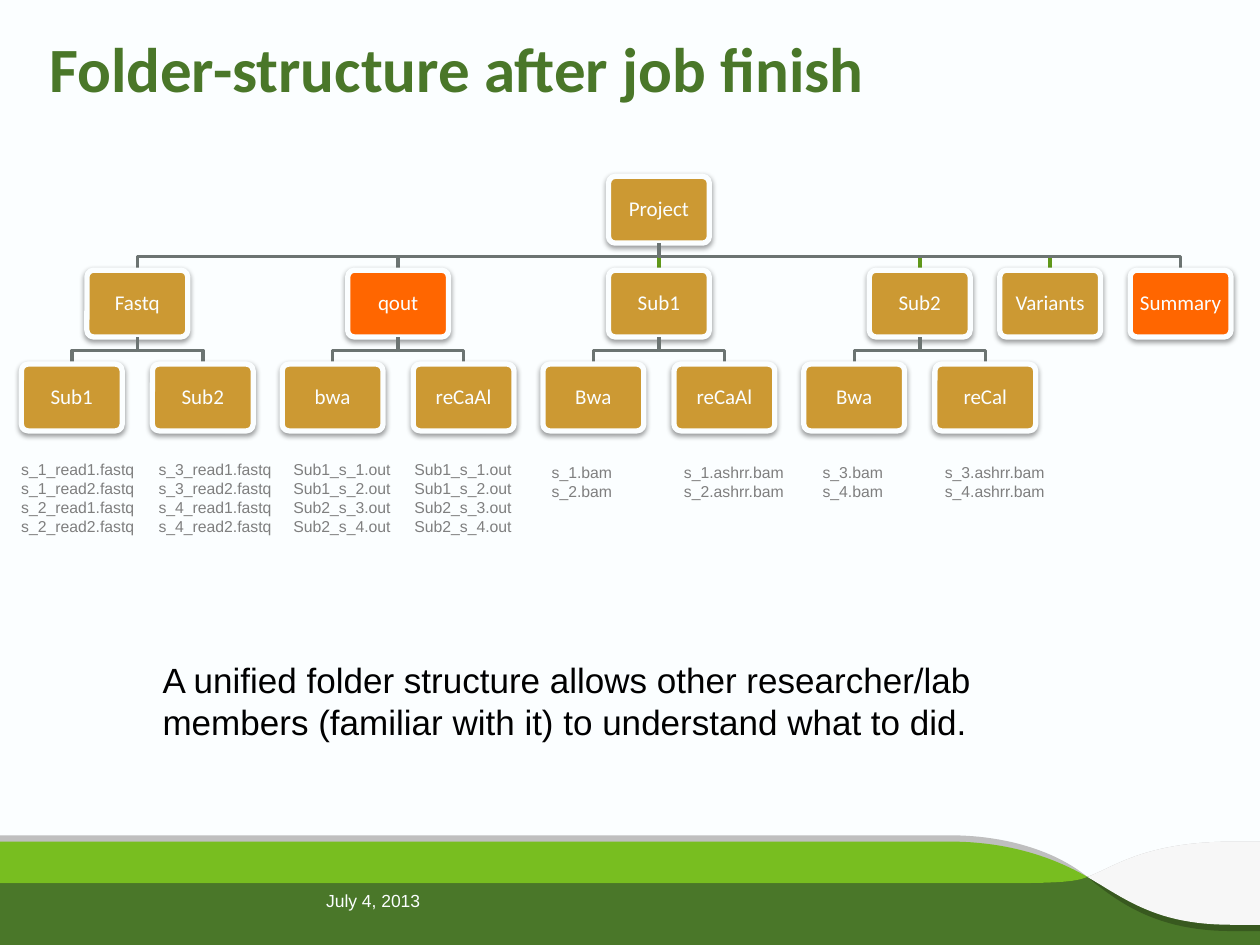
import pptx
import pptx.dml.color
import pptx.enum.shapes
import pptx.enum.text
import pptx.oxml.ns
import pptx.util
from lxml import etree
from pptx.util import Inches

RGBColor = pptx.dml.color.RGBColor
PALE = RGBColor(0xFB, 0xFE, 0xFF)
DARK = RGBColor(0x4A, 0x77, 0x29)
DEEP = RGBColor(0x38, 0x59, 0x1F)
LIME = RGBColor(0x78, 0xBE, 0x20)
STEM = RGBColor(0x60, 0x98, 0x1A)
SLATE = RGBColor(0x6C, 0x74, 0x72)
SILVER = RGBColor(0xBF, 0xBF, 0xBF)
GRAY = RGBColor(0x7F, 0x7F, 0x7F)
MIST = RGBColor(0xF7, 0xF7, 0xF7)
GOLD = RGBColor(0xCC, 0x99, 0x33)
ORANGE = RGBColor(0xFF, 0x66, 0x00)
BLACK = RGBColor(0, 0, 0)
MIDDLE = pptx.enum.text.MSO_ANCHOR.MIDDLE
FIT = pptx.enum.text.MSO_AUTO_SIZE.SHAPE_TO_FIT_TEXT
CENTER = pptx.enum.text.PP_ALIGN.CENTER
SHAPE = pptx.enum.shapes.MSO_SHAPE
STRAIGHT = pptx.enum.shapes.MSO_CONNECTOR.STRAIGHT
EDGES = ("margin_left", "margin_top", "margin_right", "margin_bottom")

deck = pptx.Presentation()
deck.slide_width, deck.slide_height = Inches(10), Inches(7.5)
slide = deck.slides.add_slide(deck.slide_layouts[6])
slide.background.fill.solid()
slide.background.fill.fore_color.rgb = PALE
shapes = slide.shapes


def write(shape, lines, size, color, name="Arial", bold=False, frame=None, para=None):
    """Fill a shape with one paragraph per line."""
    body = shape.text_frame
    for key, value in {"word_wrap": True, **(frame or {})}.items():
        setattr(body, key, value)
    body.text = "\n".join(lines)
    look = {"name": name, "size": pptx.util.Pt(size), "bold": bold}
    for item in body.paragraphs:
        for key, value in (para or {}).items():
            setattr(item, key, value)
        for key, value in look.items():
            setattr(item.font, key, value)
        item.font.color.rgb = color


def trace(paths, fill=None, line=None):
    """Draw paths of points; a step of three points is a Bezier curve."""
    pen = None
    for path in paths:
        last, spots = path[0], []
        for step in path[1:]:
            if len(step) == 2:
                spots.append(step)
            else:
                a, b, c = step
                for i in range(1, 25):
                    t = i / 24
                    u = 1 - t
                    spots.append(tuple(u**3 * p + 3 * u * u * t * q + 3 * u * t * t * r + t**3 * s
                                       for p, q, r, s in zip(last, a, b, c)))
            last = spots[-1]
        start = [Inches(v) for v in path[0]]
        if pen:
            pen.move_to(*start)
        else:
            pen = shapes.build_freeform(*start)
        pen.add_line_segments([(Inches(x), Inches(y)) for x, y in spots], close=fill is not None)
    shape = pen.convert_to_shape()
    shape.shadow.inherit = False
    if fill is not None:
        shape.fill.solid()
        shape.fill.fore_color.rgb = fill
        shape.line.fill.background()
    else:
        shape.fill.background()
        shape.line.color.rgb = line
        shape.line.width = pptx.util.Pt(2)


# Footer band and waves
band = shapes.add_shape(SHAPE.RECTANGLE, 0, Inches(6.96), Inches(10), Inches(0.54))
band.shadow.inherit = False
band.fill.solid()
band.fill.fore_color.rgb = DARK
band.line.fill.background()

knot = (8.63, 6.96)
rise = ((9.08, 6.68), (8.83, 6.89), knot)
tail = ((8.54, 7), (8.4, 7.01), (7.95, 7.01))
trace([[(10, 6.68), (9.78, 6.68), rise, (10, 6.96)],
       [(0, 6.63), (7.54, 6.63), ((8.01, 6.63), (8.4, 6.77), knot), (0, 6.96)]], SILVER)
trace([[(0, 6.96), knot, tail, (0, 7.01)],
       [(10, 6.96), knot, ((8.87, 7.16), (9.18, 7.39), (9.77, 7.39)), (10, 7.39)]], DEEP)
trace([[(0, 6.68), (7.54, 6.68), ((8.01, 6.68), (8.37, 6.81), knot), tail, (0, 7.01)]], LIME)
trace([[(10, 6.68), (9.78, 6.68), rise,
        ((8.94, 7.14), (9.18, 7.34), (9.77, 7.34)), (10, 7.34)]], MIST)

# Folder tree: label, centre, level, parent's centre, fill, line
ROOT, FIRST, STEP, HALF = 5.23, 1.09, 2.07, 0.52
WIDE, HIGH, TOP, DROP = 0.8, 0.53, 1.4, 0.745
nodes = [("Project", ROOT, 0, None, GOLD, None)]
for label, col, fill, line, kids in [
    ("Fastq", 0, GOLD, SLATE, ("Sub1", "Sub2")),
    ("qout", 1, ORANGE, SLATE, ("bwa", "reCaAl")),
    ("Sub1", 2, GOLD, STEM, ("Bwa", "reCaAl")),
    ("Sub2", 3, GOLD, STEM, ("Bwa", "reCal")),
    ("Variants", 3.5, GOLD, STEM, ()),
    ("Summary", 4, ORANGE, SLATE, ()),
]:
    mid = FIRST + col * STEP
    nodes.append((label, mid, 1, ROOT, fill, line))
    for kid, side in zip(kids, (-HALF, HALF)):
        nodes.append((kid, mid + side, 2, mid, GOLD, SLATE))

for label, mid, level, origin, fill, line in nodes:
    top = TOP + level * DROP
    if origin is not None:
        start = top - DROP + HIGH
        bend = (start + top) / 2
        if abs(mid - origin) < 0.01:
            stem = shapes.add_connector(STRAIGHT, Inches(mid), Inches(start), Inches(mid), Inches(top))
            stem.line.color.rgb = line
            stem.line.width = pptx.util.Pt(2)
            etree.SubElement(stem._element.spPr, pptx.oxml.ns.qn("a:effectLst"))
        else:
            trace([[(origin, start), (origin, bend), (mid, bend), (mid, top)]], line=line)
    box = shapes.add_shape(SHAPE.ROUNDED_RECTANGLE, Inches(mid - WIDE / 2), Inches(top),
                           Inches(WIDE), Inches(HIGH))
    box.adjustments[0] = 0.1
    box.fill.solid()
    box.fill.fore_color.rgb = fill
    box.line.color.rgb = PALE
    box.line.width = pptx.util.Pt(3)
    box.shadow.inherit = False
    glow = etree.SubElement(box._element.spPr.find(pptx.oxml.ns.qn("a:effectLst")),
                            pptx.oxml.ns.qn("a:outerShdw"), blurRad="39370", dist="20320",
                            dir="5400000", rotWithShape="0")
    tint = etree.SubElement(glow, pptx.oxml.ns.qn("a:srgbClr"), val="000000")
    etree.SubElement(tint, pptx.oxml.ns.qn("a:alpha"), val="38000")
    write(box, [label], 12, PALE, "Calibri",
          frame={"word_wrap": False, "vertical_anchor": MIDDLE, **dict.fromkeys(EDGES, Inches(0.05))},
          para={"alignment": CENTER, "line_spacing": 0.9})

# Title, date and closing remark
flush = dict.fromkeys(EDGES, 0)
title = shapes.add_textbox(Inches(0.39), Inches(0.3), Inches(9.25), Inches(0.94))
write(title, ["Folder-structure after job finish"], 36, DARK, "Calibri", True, flush, {"line_spacing": 0.9})
date = shapes.add_textbox(Inches(2.49), Inches(6.95), Inches(1.89), Inches(0.4))
write(date, ["July 4, 2013"], 10, PALE, frame={"vertical_anchor": MIDDLE})
remark = shapes.add_textbox(Inches(1.29), Inches(4.84), Inches(9.28), Inches(1.44))
write(remark, ["A unified folder structure allows other researcher/lab",
               "members (familiar with it) to understand what to did."],
      20, BLACK, frame={"vertical_anchor": MIDDLE, **flush})

# File lists under the folders
reads = ["s_{}_read1.fastq", "s_{}_read2.fastq"]
logs = ["Sub1_s_1.out", "Sub1_s_2.out", "Sub2_s_3.out", "Sub2_s_4.out"]
for left, top, wide, high, files in [
    (0.07, 3.6, 1.11, 0.71, [r.format(n) for n in (1, 2) for r in reads]),
    (1.16, 3.6, 1.11, 0.71, [r.format(n) for n in (3, 4) for r in reads]),
    (2.23, 3.6, 0.98, 0.71, logs),
    (3.19, 3.6, 0.98, 0.71, logs),
    (4.28, 3.62, 0.69, 0.4, ["s_1.bam", "s_2.bam"]),
    (5.33, 3.62, 1, 0.4, ["s_1.ashrr.bam", "s_2.ashrr.bam"]),
    (6.43, 3.62, 0.69, 0.4, ["s_3.bam", "s_4.bam"]),
    (7.4, 3.62, 1, 0.4, ["s_3.ashrr.bam", "s_4.ashrr.bam"]),
]:
    note = shapes.add_textbox(Inches(left), Inches(top), Inches(wide), Inches(high))
    write(note, files, 9, GRAY, frame={"word_wrap": False, "auto_size": FIT})

deck.save("out.pptx")
